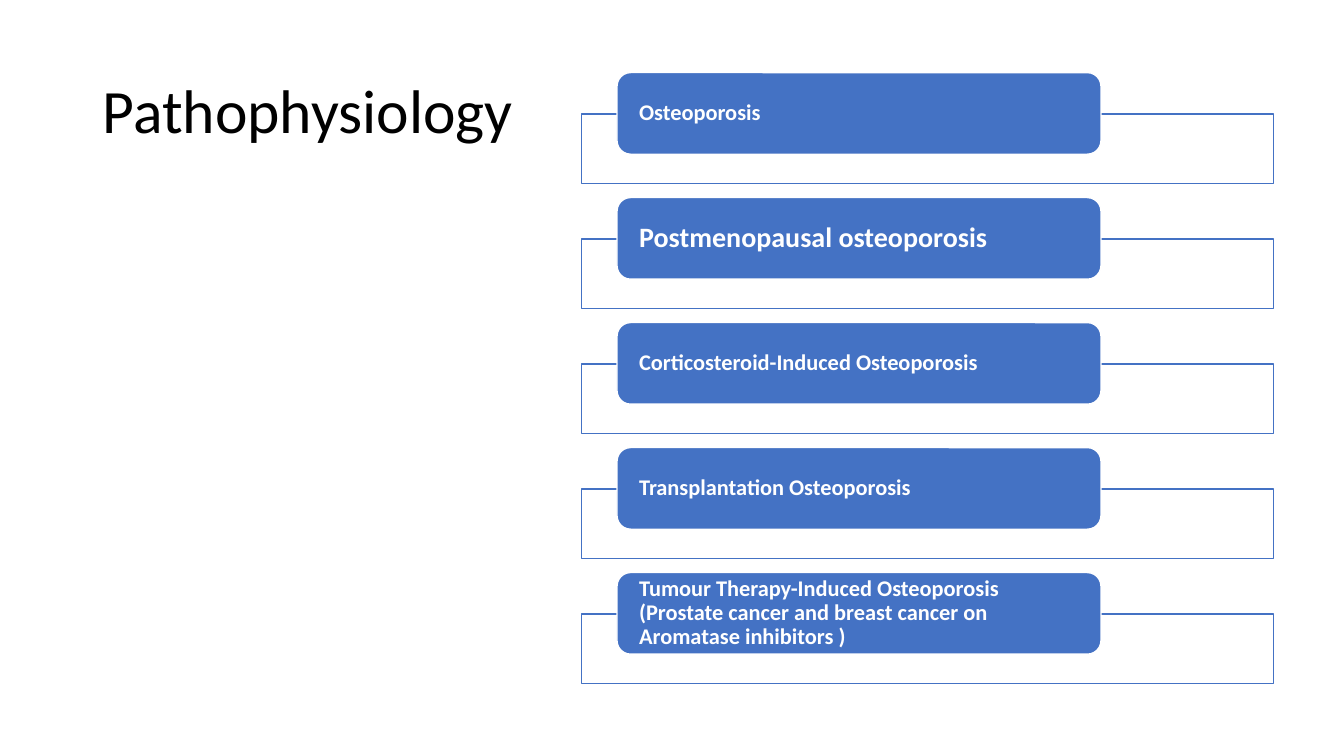
from lxml import etree
from pptx import Presentation
from pptx.dml.color import RGBColor
from pptx.enum import shapes, text
from pptx.oxml.ns import qn
from pptx.util import Inches, Pt

BLUE, WHITE, BLACK = "4472C4", "FFFFFF", "000000"
FIRST_TOP, ROW_STEP = 0.72, 1.24
CAUSES = [
    ("Osteoporosis", 16),
    ("Postmenopausal osteoporosis", 20),
    ("Corticosteroid-Induced Osteoporosis", 16),
    ("Transplantation Osteoporosis", 16),
    ("Tumour Therapy-Induced Osteoporosis (Prostate cancer and breast cancer "
     "on Aromatase inhibitors )", 16),
]


def rgb(color):
    return RGBColor.from_string(color)


def write(sp, content, size, color, bold=False):
    tf = sp.text_frame
    tf.word_wrap = True
    tf.vertical_anchor = text.MSO_ANCHOR.MIDDLE
    p = tf.paragraphs[0]
    p.text = content
    p.alignment = text.PP_ALIGN.LEFT
    p.line_spacing = 0.9
    p.font.name = "Calibri"
    p.font.size = Pt(size)
    p.font.bold = bold
    p.font.color.rgb = rgb(color)


def add_title(s, content):
    sp = s.shapes.add_textbox(Inches(0.92), Inches(0.4), Inches(11.5), Inches(1.45))
    write(sp, content, 44, BLACK)


def add_box(s, kind, left, top, width, height, fill, line):
    sp = s.shapes.add_shape(kind, Inches(left), Inches(top), Inches(width), Inches(height))
    sp.shadow.inherit = False
    sp.fill.solid()
    sp.fill.fore_color.rgb = rgb(fill)
    sp.line.color.rgb = rgb(line)
    sp.line.width = Pt(1)
    return sp


def set_opacity(sp, percent):
    color = sp.fill._xPr.find(qn("a:solidFill"))[0]
    etree.SubElement(color, qn("a:alpha"), val=str(percent * 1000))


def add_cause(s, top, label, size):
    """Draw a framed row with its label tab overlapping the frame's top edge."""
    frame = add_box(s, shapes.MSO_SHAPE.RECTANGLE, 5.77, top + 0.41, 6.86, 0.69, WHITE, BLUE)
    set_opacity(frame, 90)
    tab = add_box(s, shapes.MSO_SHAPE.ROUNDED_RECTANGLE, 6.12, top, 4.8, 0.81, BLUE, WHITE)
    tf = tab.text_frame
    tf.margin_left = tf.margin_right = Inches(0.18)
    tf.margin_top = tf.margin_bottom = 0
    write(tab, label, size, WHITE, bold=True)


def main():
    prs = Presentation()
    prs.slide_width, prs.slide_height = Inches(13.33), Inches(7.5)
    s = prs.slides.add_slide(prs.slide_layouts[6])
    add_title(s, "Pathophysiology")
    for i, (label, size) in enumerate(CAUSES):
        add_cause(s, FIRST_TOP + i * ROW_STEP, label, size)
    prs.save("out.pptx")


if __name__ == "__main__":
    main()
